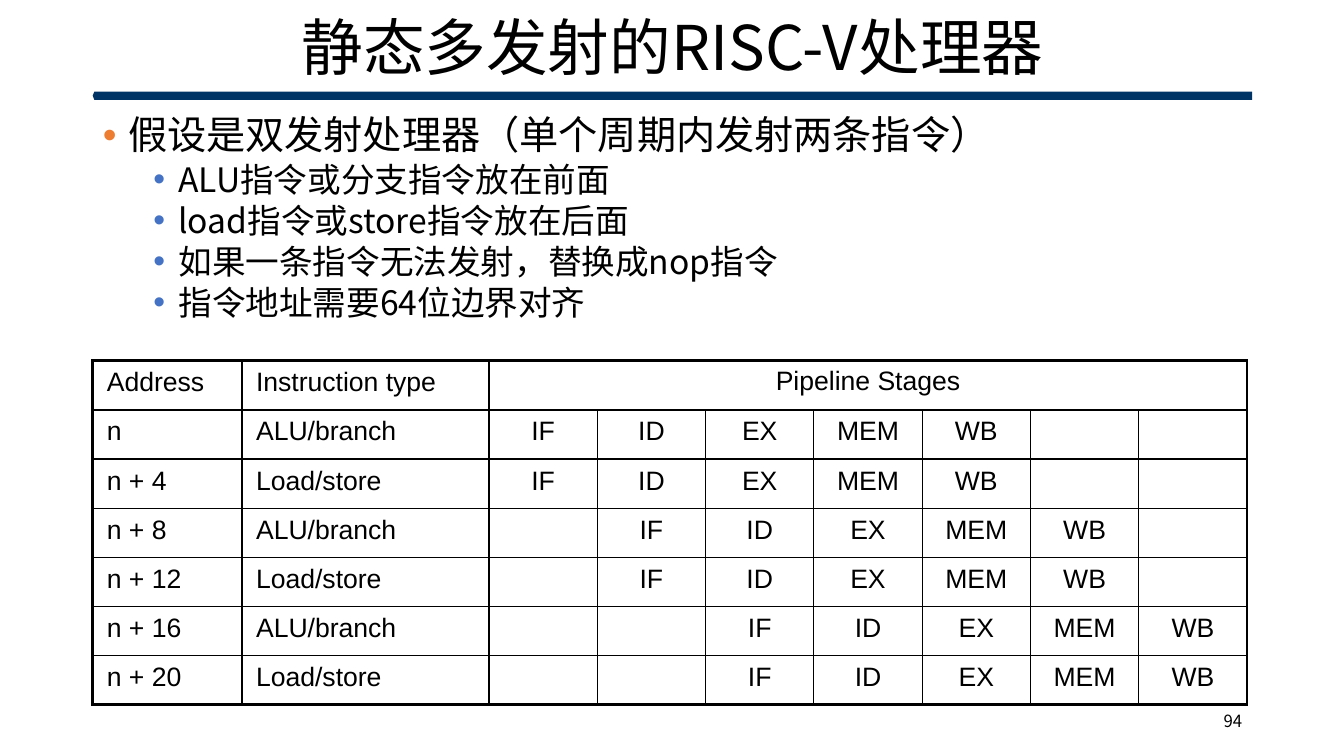
from lxml.etree import SubElement
from pptx import Presentation
from pptx.dml.color import RGBColor
from pptx.enum.shapes import MSO_SHAPE
from pptx.enum.text import MSO_ANCHOR, MSO_AUTO_SIZE, PP_ALIGN
from pptx.oxml import parse_xml
from pptx.oxml.ns import nsdecls, qn
from pptx.util import Inches, Pt

LEFT, WIDTH = 0.92, 11.5
STAGES = ["IF", "ID", "EX", "MEM", "WB"]
CYCLES = 7
BULLETS = [
    (0, "假设是双发射处理器（单个周期内发射两条指令）"),
    (1, "ALU指令或分支指令放在前面"),
    (1, "load指令或store指令放在后面"),
    (1, "如果一条指令无法发射，替换成nop指令"),
    (1, "指令地址需要64位边界对齐"),
]


def rgb(value):
    return RGBColor.from_string(value)


def write(paragraph, text, size, font="Noto Sans CJK SC", color="000000",
          align=PP_ALIGN.LEFT, line_spacing=None):
    paragraph.alignment = align
    if line_spacing:
        paragraph.line_spacing = line_spacing
    run = paragraph.add_run()
    run.text = text
    run.font.size = Pt(size)
    run.font.name = font
    run.font.color.rgb = rgb(color)
    SubElement(run.font._element, qn("a:ea"), typeface=font)


def add_bullet(paragraph, color, indent):
    properties = paragraph._p.get_or_add_pPr()
    properties.set("marL", str(Inches(indent)))
    properties.set("indent", str(Inches(-0.25)))
    SubElement(SubElement(properties, qn("a:buClr")), qn("a:srgbClr"), val=color)
    SubElement(properties, qn("a:buFont"), typeface="Arial")
    SubElement(properties, qn("a:buChar"), char="•")


def set_borders(cell, left, right, top, bottom):
    """Draw the four black sides of a cell, widths in points."""
    properties = cell._tc.get_or_add_tcPr()
    for place, (side, width) in enumerate(zip("LRTB", (left, right, top, bottom))):
        properties.insert(place, parse_xml(
            f'<a:ln{side} {nsdecls("a")} w="{Pt(width)}"><a:solidFill>'
            f'<a:srgbClr val="000000"/></a:solidFill></a:ln{side}>'))


class PipelineSlide:
    bar_color = "003366"
    bullet_colors = ["ED7D31", "4472C4"]
    bullet_sizes = [28, 24]
    bullet_indents = [0.25, 0.75]
    table_font = {"size": 19, "font": "Arial"}

    def __init__(self, presentation):
        self.slide = presentation.slides.add_slide(presentation.slide_layouts[1])

    def place(self, holder, left, top, width, height):
        holder.left, holder.top = Inches(left), Inches(top)
        holder.width, holder.height = Inches(width), Inches(height)
        holder.text_frame.auto_size = MSO_AUTO_SIZE.NONE
        holder.text_frame.word_wrap = True
        return holder.text_frame

    def title(self, text):
        frame = self.place(self.slide.shapes.title, LEFT, 0.17, WIDTH, 0.66)
        frame.vertical_anchor = MSO_ANCHOR.MIDDLE
        write(frame.paragraphs[0], text, 44, align=PP_ALIGN.CENTER, line_spacing=0.9)

    def title_bar(self):
        bar = self.slide.shapes.add_shape(
            MSO_SHAPE.PENTAGON, Inches(LEFT), Inches(0.91), Inches(WIDTH), Inches(0.08))
        bar.adjustments[0] = 0.2
        bar._element.spPr.find(qn("a:xfrm")).set("flipH", "1")
        bar.shadow.inherit = False
        bar.fill.solid()
        bar.fill.fore_color.rgb = rgb(self.bar_color)
        bar.line.fill.background()

    def bullets(self, items):
        frame = self.place(self.slide.placeholders[1], LEFT, 1.1, WIDTH, 5.76)
        frame.vertical_anchor = MSO_ANCHOR.TOP
        for number, (level, text) in enumerate(items):
            item = frame.add_paragraph() if number else frame.paragraphs[0]
            item.level = level
            add_bullet(item, self.bullet_colors[level], self.bullet_indents[level])
            item.space_before = Pt(3.4 if number else 0)
            write(item, text, self.bullet_sizes[level], line_spacing=0.9)

    def page_number(self, text):
        number_box = self.slide.shapes.add_textbox(0, 0, 0, 0)
        frame = self.place(number_box, 9.42, 6.95, 3, 0.4)
        frame.vertical_anchor = MSO_ANCHOR.MIDDLE
        write(frame.paragraphs[0], text, 12, align=PP_ALIGN.RIGHT)

    def table(self, rows, widths):
        table = self.slide.shapes.add_table(
            len(rows), len(widths), Inches(LEFT), Inches(3.58),
            Inches(sum(widths)), Inches(3.41)).table
        table.first_row = table.horz_banding = False
        for column, width in zip(table.columns, widths):
            column.width = Inches(width)
        last_row, last_column = len(rows) - 1, len(widths) - 1
        for r, row in enumerate(rows):
            for c, text in enumerate(row):
                cell = table.cell(r, c)
                cell.fill.background()
                cell.margin_left = cell.margin_right = Inches(0.14)
                cell.margin_top = cell.margin_bottom = Inches(0.07)
                set_borders(cell,
                            left=2.25 if c == 0 else 1,
                            right=2.25 if c == last_column or (r == 0 and c == 2) else 1,
                            top={0: 2.25, 1: 1.5}.get(r, 1),
                            bottom={0: 1.5, last_row: 2.25}.get(r, 1))
                if text:
                    write(cell.text_frame.paragraphs[0], text, **self.table_font,
                          align=PP_ALIGN.CENTER if c > 1 else PP_ALIGN.LEFT)
        stages_header = table.cell(0, 2)
        stages_header.merge(table.cell(0, last_column))
        stages_header.margin_left = stages_header.margin_right = Inches(0.11)
        stages_header.margin_top = stages_header.margin_bottom = Inches(0.06)


def pipeline_rows():
    """Each pair of instructions enters the pipeline one cycle after the last."""
    rows = [["Address", "Instruction type", "Pipeline Stages"] + [""] * (CYCLES - 1)]
    for number in range(6):
        start = number // 2
        address = f"n + {4 * number}" if number else "n"
        kind = "Load/store" if number % 2 else "ALU/branch"
        idle_after = CYCLES - len(STAGES) - start
        rows.append([address, kind] + [""] * start + STAGES + [""] * idle_after)
    return rows


def main():
    presentation = Presentation()
    presentation.slide_width, presentation.slide_height = Inches(13.33), Inches(7.5)
    page = PipelineSlide(presentation)
    page.title_bar()
    page.title("静态多发射的RISC-V处理器")
    page.bullets(BULLETS)
    page.page_number("94")
    page.table(pipeline_rows(), [1.48, 2.45] + [7.52 / CYCLES] * CYCLES)
    presentation.save("out.pptx")


if __name__ == "__main__":
    main()
